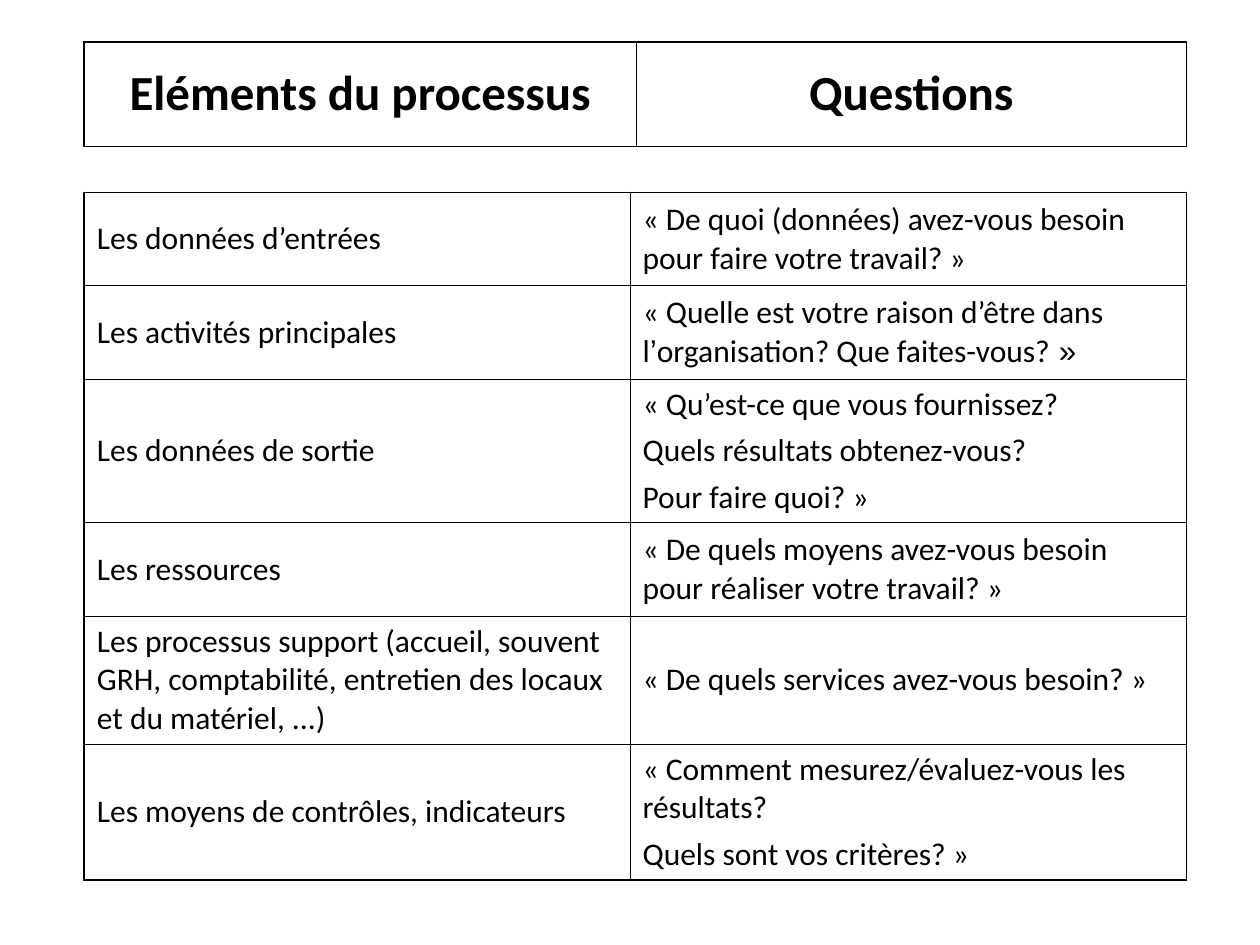
from itertools import cycle

from lxml.etree import SubElement
from pptx import Presentation
from pptx.dml.color import RGBColor
from pptx.enum.text import MSO_ANCHOR as Anchor, PP_ALIGN as Align
from pptx.oxml.ns import qn
from pptx.util import Cm, Pt

BLACK = RGBColor(0, 0, 0)
OUTER, INNER = Pt(1.08), Pt(0.45)
LEFT = Cm(1.7)

HEADER = [[["Eléments du processus"], ["Questions"]]]

# A tuple holds runs that alternate between Calibri and Arial.
ROWS = [
    [["Les données d’entrées"],
     ["« De quoi (données) avez-vous besoin pour faire votre travail? »"]],
    [["Les activités principales"],
     [("« Quelle est votre raison d’être dans l", "’",
       "organisation? Que faites-vous?", " »")]],
    [["Les données de sortie"],
     ["« Qu’est-ce que vous fournissez?", "Quels résultats obtenez-vous?",
      "Pour faire quoi? »"]],
    [["Les ressources"],
     ["« De quels moyens avez-vous besoin pour réaliser votre travail? »"]],
    [["Les processus support (accueil, souvent GRH, comptabilité, "
      "entretien des locaux et du matériel, ...)"],
     ["« De quels services avez-vous besoin? »"]],
    [["Les moyens de contrôles, indicateurs"],
     ["« Comment mesurez/évaluez-vous les résultats?",
      "Quels sont vos critères? »"]],
]


def write_text(tf, paragraphs, size=18, bold=False, align=Align.LEFT, gap=4.5):
    for i, content in enumerate(paragraphs):
        p = tf.add_paragraph() if i else tf.paragraphs[0]
        p.alignment = align
        p.space_before = Pt(gap if i else 0)
        runs = (content,) if isinstance(content, str) else content
        for text, font in zip(runs, cycle(("Calibri", "Arial"))):
            r = p.add_run()
            r.text = text
            r.font.name = font
            r.font.size = Pt(size)
            r.font.bold = bold
            r.font.color.rgb = BLACK


def set_borders(cell, widths):
    tc_pr = cell._tc.get_or_add_tcPr()
    for side, width in zip("LRTB", widths):
        ln = SubElement(tc_pr, qn(f"a:ln{side}"), w=str(width))
        fill = SubElement(ln, qn("a:solidFill"))
        SubElement(fill, qn("a:srgbClr"), val=str(BLACK))


def add_grid(slide, top, widths, heights, rows, **text_format):
    last_row, last_col = len(heights) - 1, len(widths) - 1
    table = slide.shapes.add_table(
        len(heights), len(widths), LEFT, top,
        Cm(sum(widths)), Cm(sum(heights))).table
    table.first_row = table.horz_banding = False
    for column, width in zip(table.columns, widths):
        column.width = Cm(width)
    for i, (row, height) in enumerate(zip(rows, heights)):
        table.rows[i].height = Cm(height)
        for j, paragraphs in enumerate(row):
            cell = table.cell(i, j)
            edges = (j == 0, j == last_col, i == 0, i == last_row)
            set_borders(cell, [OUTER if edge else INNER for edge in edges])
            cell.fill.background()
            cell.vertical_anchor = Anchor.MIDDLE
            write_text(cell.text_frame, paragraphs, **text_format)


def main():
    prs = Presentation()
    prs.slide_width, prs.slide_height = Cm(25.4), Cm(19.05)
    s = prs.slides.add_slide(prs.slide_layouts[6])
    add_grid(s, Cm(0.84), [11.12, 11.1], [2.11], HEADER,
             size=28, bold=True, align=Align.CENTER)
    add_grid(s, Cm(3.88), [11, 11.22], [1.88, 1.88, 2.88, 1.88, 2.54, 2.7], ROWS)
    prs.save("out.pptx")


if __name__ == "__main__":
    main()
